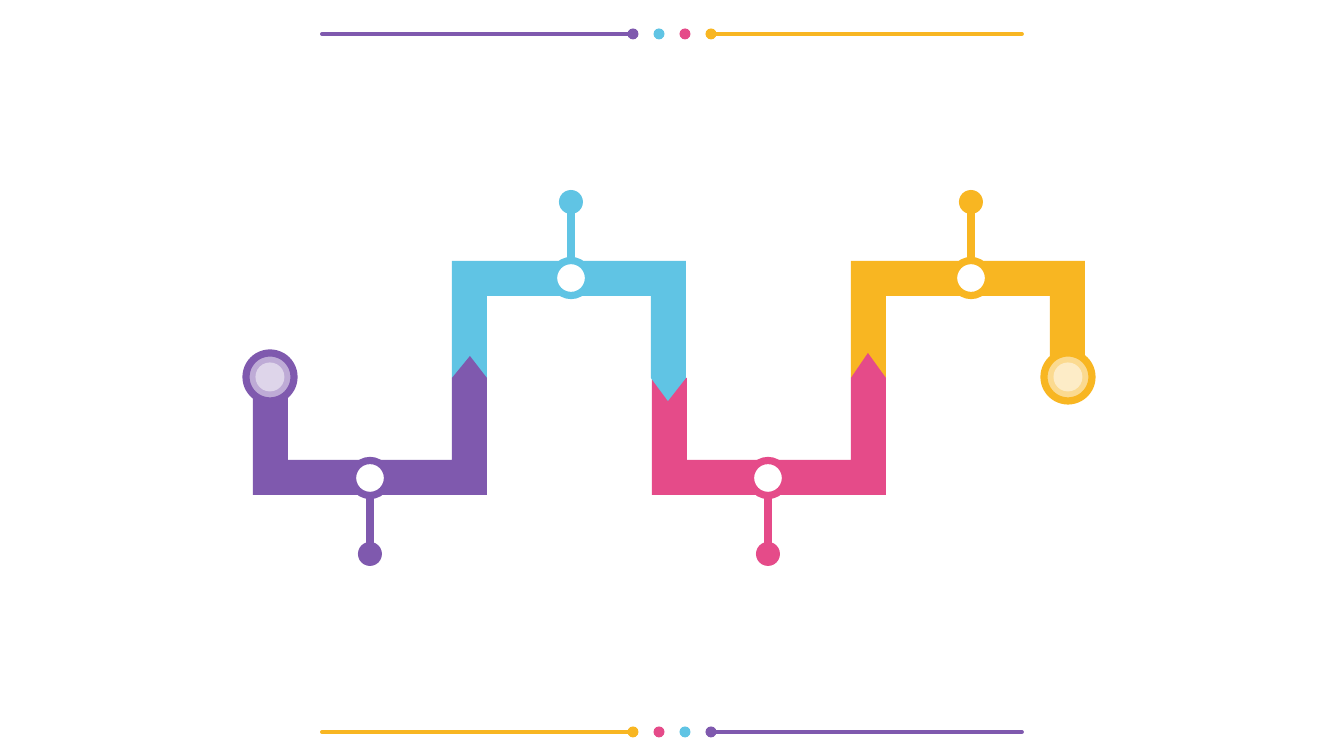
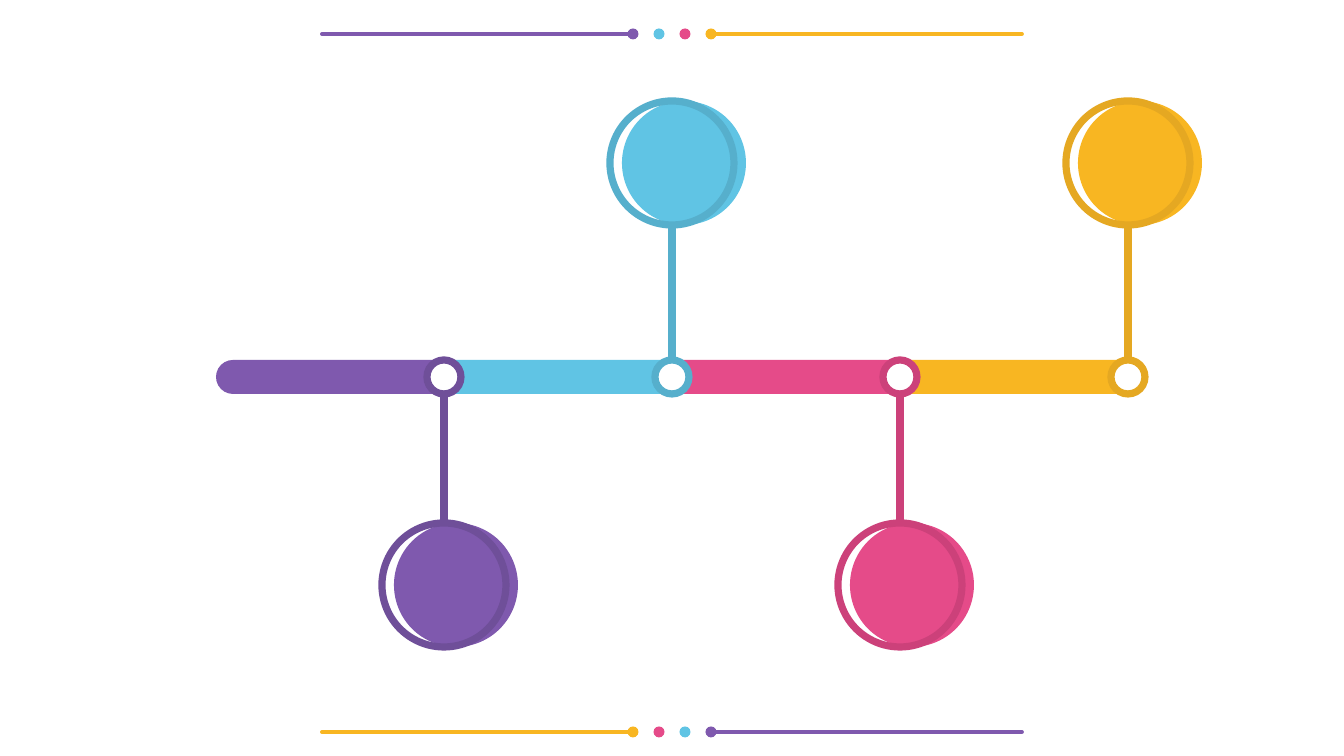
from lxml.etree import SubElement
from pptx import Presentation
from pptx.dml.color import RGBColor as RGB
from pptx.enum.shapes import MSO_CONNECTOR as LINK, MSO_SHAPE as SHAPE
from pptx.oxml.ns import qn
from pptx.util import Pt

SCALE = 914400 / 122
WIDE, HIGH = 1344, 756
HUES = {
    "purple": "7F59AE", "blue": "60C4E4", "pink": "E54B89", "gold": "F8B622",
    "white": "FFFFFF",
    "purple_dark": "6F4F99", "blue_dark": "56AFCC",
    "pink_dark": "CC417A", "gold_dark": "E5A822",
}
ORDER = ["purple", "blue", "pink", "gold"]
THIN, THICK = 2.27, 4.25


def emu(px):
    return round(px * SCALE)


class Deck:
    def __init__(self):
        self.prs = Presentation()
        self.prs.slide_width = emu(WIDE)
        self.prs.slide_height = emu(HIGH)
        self.slide = None

    def new(self):
        """Start a slide with its top and bottom rules."""
        self.slide = self.prs.slides.add_slide(self.prs.slide_layouts[6])
        self.rule(34, ORDER)
        self.rule(732, ORDER[::-1])

    def rule(self, y, hues):
        mid, reach = WIDE // 2, 350
        dots = [mid - 39 + 26 * i for i in range(4)]
        self.line(mid - reach, y, dots[0], y, hues[0], THIN)
        for x, hue in zip(dots, hues):
            self.disc(x, y, 11, hue)
        self.line(dots[-1], y, mid + reach, y, hues[-1], THIN)

    def paint(self, shape, fill=None, edge=None, alpha=None):
        shape.shadow.inherit = False
        if fill:
            shape.fill.solid()
            shape.fill.fore_color.rgb = RGB.from_string(HUES[fill])
        else:
            shape.fill.background()
        if edge:
            shape.line.color.rgb = RGB.from_string(HUES[edge])
            shape.line.width = Pt(THICK)
        else:
            shape.line.fill.background()
        if alpha:
            tint = shape.element.spPr.find(f"{qn('a:solidFill')}/{qn('a:srgbClr')}")
            SubElement(tint, qn("a:alpha")).set("val", str(alpha * 1000))

    def disc(self, x, y, size, fill=None, edge=None, alpha=None):
        """Draw a circle around the centre x, y."""
        box = map(emu, (x - size / 2, y - size / 2, size, size))
        self.paint(self.slide.shapes.add_shape(SHAPE.OVAL, *box), fill, edge, alpha)

    def bar(self, x, y, wide, high, fill, ends=False):
        """Draw a flat bar, with round ends on request."""
        kind = SHAPE.ROUNDED_RECTANGLE if ends else SHAPE.RECTANGLE
        shape = self.slide.shapes.add_shape(kind, *map(emu, (x, y, wide, high)))
        if ends:
            shape.adjustments[0] = 0.5
        self.paint(shape, fill)

    def free(self, points, fill):
        pen = self.slide.shapes.build_freeform(*points[0], scale=SCALE)
        pen.add_line_segments(points[1:], close=True)
        self.paint(pen.convert_to_shape(), fill)

    def line(self, x1, y1, x2, y2, hue, width=THICK):
        link = self.slide.shapes.add_connector(
            LINK.STRAIGHT, *map(emu, (x1, y1, x2, y2)))
        link.line.color.rgb = RGB.from_string(HUES[hue])
        link.line.width = Pt(width)
        link.get_or_add_ln().set("cap", "rnd" if width == THIN else "flat")
        SubElement(link.element.spPr, qn("a:effectLst"))

    def bend(self, x, mid, side, tip, hue):
        """Draw a U-shaped band; side is 1 for down and -1 for up."""
        wide, band, deep = 234, 35, 117
        far, edge, base = x + wide, mid + side * deep, mid + side * (deep - band)
        self.free([
            (x, mid), (x, edge), (far, edge), (far, mid),
            (far - band / 2, mid - side * tip), (far - band, mid),
            (far - band, base), (x + band, base), (x + band, mid),
        ], hue)

    def pin(self, x, mid, side, hue):
        end = mid + side * 176
        self.line(x, mid + side * 117, x, end, hue)
        self.disc(x, end, 24, hue)
        self.disc(x, mid + side * 100, 35, "white", hue)

    def stop(self, x, y, hue):
        """Draw the layered circle at an end of the path."""
        self.disc(x, y, 48, "white", hue)
        self.disc(x, y, 48, hue, alpha=50)
        self.disc(x, y, 29, "white", alpha=50)

    def bubble(self, x, mid, y, side, hue):
        dark, size = hue + "_dark", 124
        self.disc(x + 12, y, size, hue)
        self.line(x, mid, x, y - side * size // 2, dark)
        self.disc(x, mid, 34, "white", dark)
        self.disc(x, y, size, edge=dark)


def path(deck):
    deck.new()
    mid = 378
    lefts = [253 + 399 * i // 2 for i in range(4)]
    pins = [370, 571, 768, 971]
    tips = [22, 23, 25, 0]
    for i in reversed(range(4)):
        side = -1 if i % 2 else 1
        deck.bend(lefts[i], mid, side, tips[i], ORDER[i])
        deck.pin(pins[i], mid, side, ORDER[i])
    deck.stop(lefts[0] + 17, mid - 1, ORDER[0])
    deck.stop(lefts[-1] + 217, mid - 1, ORDER[-1])


def timeline(deck):
    deck.new()
    left, step, mid, high = 216, 228, 377, 34
    top = mid - high // 2
    deck.bar(left, top, step + high // 2, high, ORDER[0], ends=True)
    for i, hue in enumerate(ORDER[1:], 1):
        deck.bar(left + step * i, top, step, high, hue)
    for i, hue in enumerate(ORDER):
        side = -1 if i % 2 else 1
        deck.bubble(left + step * (i + 1), mid, 374 + 211 * side, side, hue)


def main():
    deck = Deck()
    path(deck)
    timeline(deck)
    deck.prs.save("out.pptx")


if __name__ == "__main__":
    main()
